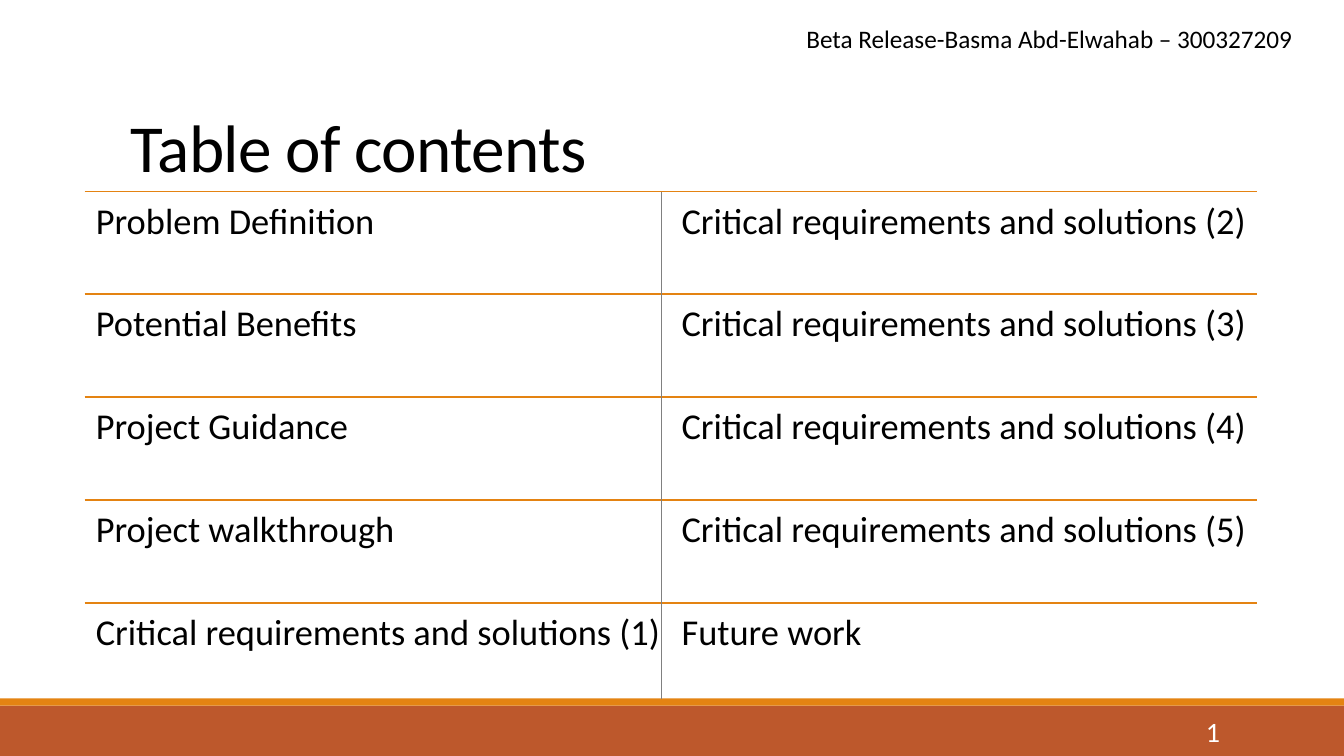
from pptx import Presentation
from pptx.dml.color import RGBColor
from pptx.enum import shapes, text
from pptx.oxml.ns import qn
from pptx.util import Inches, Pt

ORANGE = RGBColor(0xE4, 0x83, 0x12)
RUST = RGBColor(0xBD, 0x58, 0x2C)
GRAY = RGBColor(0x80, 0x80, 0x80)
BLACK = RGBColor(0, 0, 0)
WHITE = RGBColor(0xFF, 0xFF, 0xFF)

TOP, ROW_HEIGHT, COLUMN_WIDTH = 1.9, 1.02, 5.82
COLUMNS = [
    (0.84, ["Problem Definition", "Potential Benefits", "Project Guidance",
            "Project walkthrough", "Critical requirements and solutions (1)"]),
    (6.65, [f"Critical requirements and solutions ({n})" for n in range(2, 6)]
     + ["Future work"]),
]


def add_band(parent, top, height, color):
    """Add a full-width footer band."""
    sp = parent.add_shape(shapes.MSO_SHAPE.RECTANGLE, 0, Inches(top),
                          Inches(13.33), Inches(height))
    sp.shadow.inherit = False
    sp.fill.solid()
    sp.fill.fore_color.rgb = color
    sp.line.fill.background()


def add_line(parent, x1, y1, x2, y2, color, width):
    """Add a straight line without a shadow."""
    line = parent.add_connector(shapes.MSO_CONNECTOR.STRAIGHT, Inches(x1),
                                Inches(y1), Inches(x2), Inches(y2))
    line.line.color.rgb = color
    line.line.width = Pt(width)
    spPr = line._element.spPr
    spPr.append(spPr.makeelement(qn("a:effectLst"), {}))


def add_text(parent, words, left, top, width, height, size, color=BLACK,
             anchor=text.MSO_ANCHOR.TOP):
    """Add a wrapped one-paragraph text box and return its text frame."""
    sp = parent.add_textbox(Inches(left), Inches(top), Inches(width), Inches(height))
    tf = sp.text_frame
    tf.word_wrap = True
    tf.vertical_anchor = anchor
    p = tf.paragraphs[0]
    p.text = words
    p.font.name = "Calibri"
    p.font.size = Pt(size)
    p.font.color.rgb = color
    return tf


def add_column(parent, left, topics):
    """Add a group of ruled rows, one for each topic."""
    group = parent.add_group_shape().shapes
    for i, topic in enumerate(topics):
        y = TOP + i * ROW_HEIGHT
        add_line(group, left, y, left + COLUMN_WIDTH, y, ORANGE, 1.25)
        tf = add_text(group, topic, left, y, COLUMN_WIDTH, ROW_HEIGHT, 26)
        tf.margin_left = tf.margin_top = tf.margin_bottom = Inches(0.11)
        tf.margin_right = Inches(0.05)
        tf.paragraphs[0].line_spacing = 0.9


def main():
    """Build the table of contents slide."""
    prs = Presentation()
    prs.slide_width, prs.slide_height = Inches(13.33), Inches(7.5)
    s = prs.slides.add_slide(prs.slide_layouts[6]).shapes

    add_band(s, 7, 0.5, RUST)
    add_band(s, 6.93, 0.07, ORANGE)
    add_line(s, 1.31, TOP, 12.21, TOP, GRAY, 0.5)

    title = add_text(s, "Table of contents", 1.2, 0.31, 11, 1.59, 48,
                     anchor=text.MSO_ANCHOR.BOTTOM).paragraphs[0]
    title.line_spacing = 0.85
    title.runs[0].font._element.set("spc", "-50")

    for left, topics in COLUMNS:
        add_column(s, left, topics)
    add_line(s, 6.56, TOP, 6.56, 6.93, GRAY, 0.5)

    add_text(s, "Beta Release-Basma Abd-Elwahab – 300327209",
             7.9, 0.18, 5.17, 0.71, 18)
    number = add_text(s, "1", 10.83, 7.06, 1.43, 0.4, 20, WHITE,
                      text.MSO_ANCHOR.MIDDLE)
    number.margin_right = Inches(0.16)
    number.paragraphs[0].alignment = text.PP_ALIGN.RIGHT
    prs.save("out.pptx")


if __name__ == "__main__":
    main()
